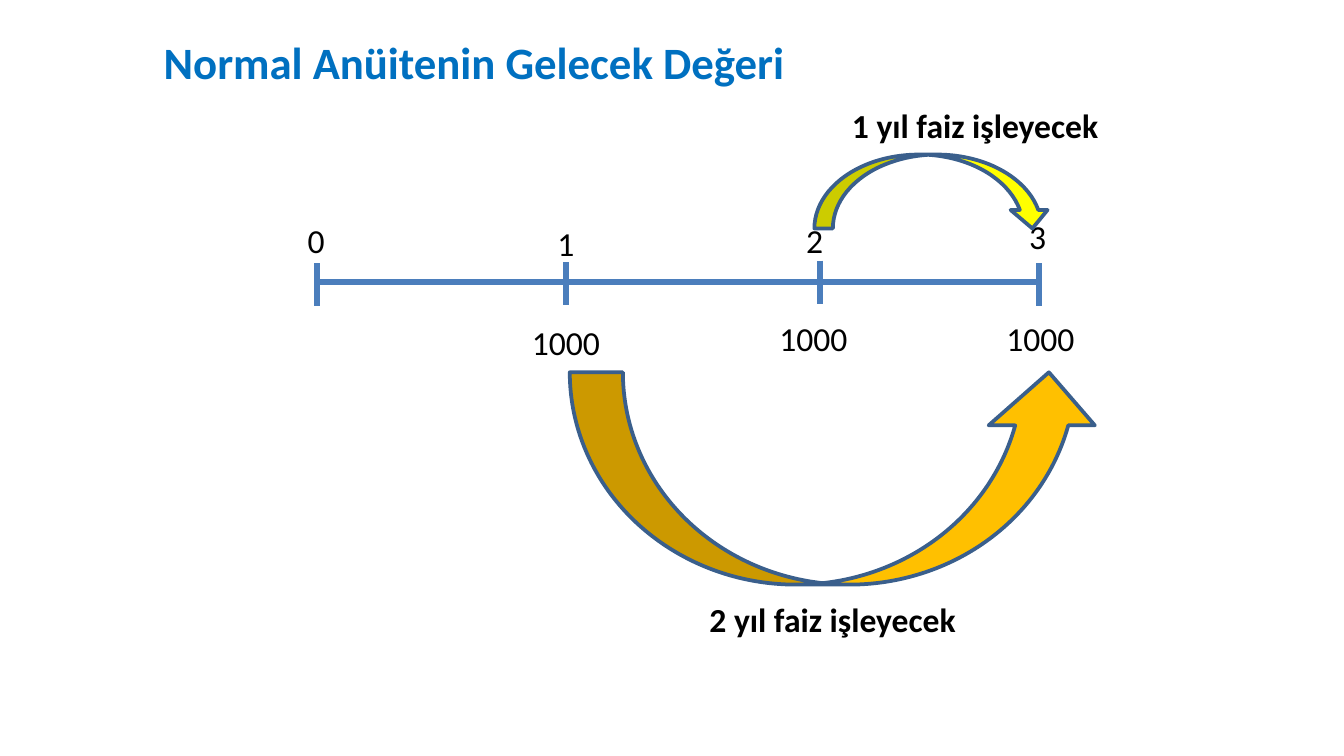
import pptx
import pptx.dml.color
import pptx.enum.shapes
import pptx.enum.text
import pptx.oxml.ns
import pptx.util
from lxml import etree
from dataclasses import dataclass

RGB = pptx.dml.color.RGBColor
SHAPE = pptx.enum.shapes.MSO_SHAPE
TITLE = RGB(0x00, 0x70, 0xC0)
BLACK = RGB(0x00, 0x00, 0x00)
AXIS = RGB(0x4B, 0x7E, 0xBC)
EDGE = RGB(0x3A, 0x5F, 0x8C)
GOLD = RGB(0xFF, 0xC0, 0x00)
YELLOW = RGB(0xFF, 0xFF, 0x00)

# Grid of 100 columns by 56.25 rows of square cells, ten to the inch
CELLS = 10
COLS, ROWS = 100, 56.25
AXIS_ROW, AXIS_END = 21, 77.5
TICK = 3.2
LINE_H = 4
YEAR_W, PAY_W, NOTE_W = 3.3, 7.1, 20.5


@dataclass
class Mark:
    """A year on the axis; mid values are the centre columns of its texts."""
    year: str
    col: float
    tick_row: float
    year_mid: float
    year_row: float
    pay: str = ""
    pay_mid: float = 0
    pay_row: float = 0


@dataclass
class Jump:
    kind: pptx.enum.shapes.MSO_SHAPE
    fill: RGB
    col: float
    row: float
    width: float
    height: float
    note: str
    note_col: float
    note_row: float


MARKS = [
    Mark("0", 23.6, 19.6, 23.55, 15.9),
    Mark("1", 42.1, 19.5, 42.15, 16.1, "1000", 42.15, 23.5),
    Mark("2", 61, 19.4, 60.65, 15.9, "1000", 60.55, 23.2),
    Mark("3", 77.3, 19.6, 77.25, 15.6, "1000", 77.45, 23.2),
]
JUMPS = [
    Jump(SHAPE.CURVED_UP_ARROW, GOLD, 42.4, 27.7, 39.6, 15.8,
         "2 yıl faiz işleyecek", 51.8, 44.1),
    Jump(SHAPE.CURVED_DOWN_ARROW, YELLOW, 60.6, 11.5, 17.6, 5.5,
         "1 yıl faiz işleyecek", 62.4, 7.3),
]


def grid(*cells: float) -> list[int]:
    return [pptx.util.Inches(cell / CELLS) for cell in cells]


def add_text(slide, text: str, col: float, row: float, width: float,
             height: float = LINE_H, size: int = 18, color: RGB = BLACK,
             bold: bool = False) -> None:
    box = slide.shapes.add_textbox(*grid(col, row, width, height))
    frame = box.text_frame
    frame.text = text
    frame.word_wrap = False
    frame.auto_size = pptx.enum.text.MSO_AUTO_SIZE.SHAPE_TO_FIT_TEXT
    font = frame.paragraphs[0].runs[0].font
    font.name, font.size, font.bold = "Calibri", pptx.util.Pt(size), bold
    font.color.rgb = color


def add_line(slide, col: float, row: float, end_col: float,
             end_row: float) -> None:
    line = slide.shapes.add_connector(
        pptx.enum.shapes.MSO_CONNECTOR.STRAIGHT,
        *grid(col, row, end_col, end_row))
    line.line.color.rgb = AXIS
    line.line.width = pptx.util.Pt(3)
    etree.SubElement(line._element.spPr, pptx.oxml.ns.qn("a:effectLst"))


def add_mark(slide, mark: Mark) -> None:
    add_line(slide, mark.col, mark.tick_row, mark.col, mark.tick_row + TICK)
    add_text(slide, mark.year, mark.year_mid - YEAR_W / 2, mark.year_row,
             YEAR_W)
    if mark.pay:
        add_text(slide, mark.pay, mark.pay_mid - PAY_W / 2, mark.pay_row,
                 PAY_W)


def add_jump(slide, jump: Jump) -> None:
    arrow = slide.shapes.add_shape(
        jump.kind, *grid(jump.col, jump.row, jump.width, jump.height))
    arrow.shadow.inherit = False
    arrow.fill.solid()
    arrow.fill.fore_color.rgb = jump.fill
    arrow.line.color.rgb = EDGE
    arrow.line.width = pptx.util.Pt(2)
    add_text(slide, jump.note, jump.note_col, jump.note_row, NOTE_W,
             bold=True)


def main() -> None:
    deck = pptx.Presentation()
    deck.slide_width, deck.slide_height = grid(COLS, ROWS)
    slide = deck.slides.add_slide(deck.slide_layouts[6])
    add_text(slide, "Normal Anüitenin Gelecek Değeri", 11.2, 2.1, 49.4, 5,
             size=24, color=TITLE, bold=True)
    add_line(slide, MARKS[0].col, AXIS_ROW, AXIS_END, AXIS_ROW)
    for mark in MARKS:
        add_mark(slide, mark)
    for jump in JUMPS:
        add_jump(slide, jump)
    deck.save("out.pptx")


if __name__ == "__main__":
    main()
